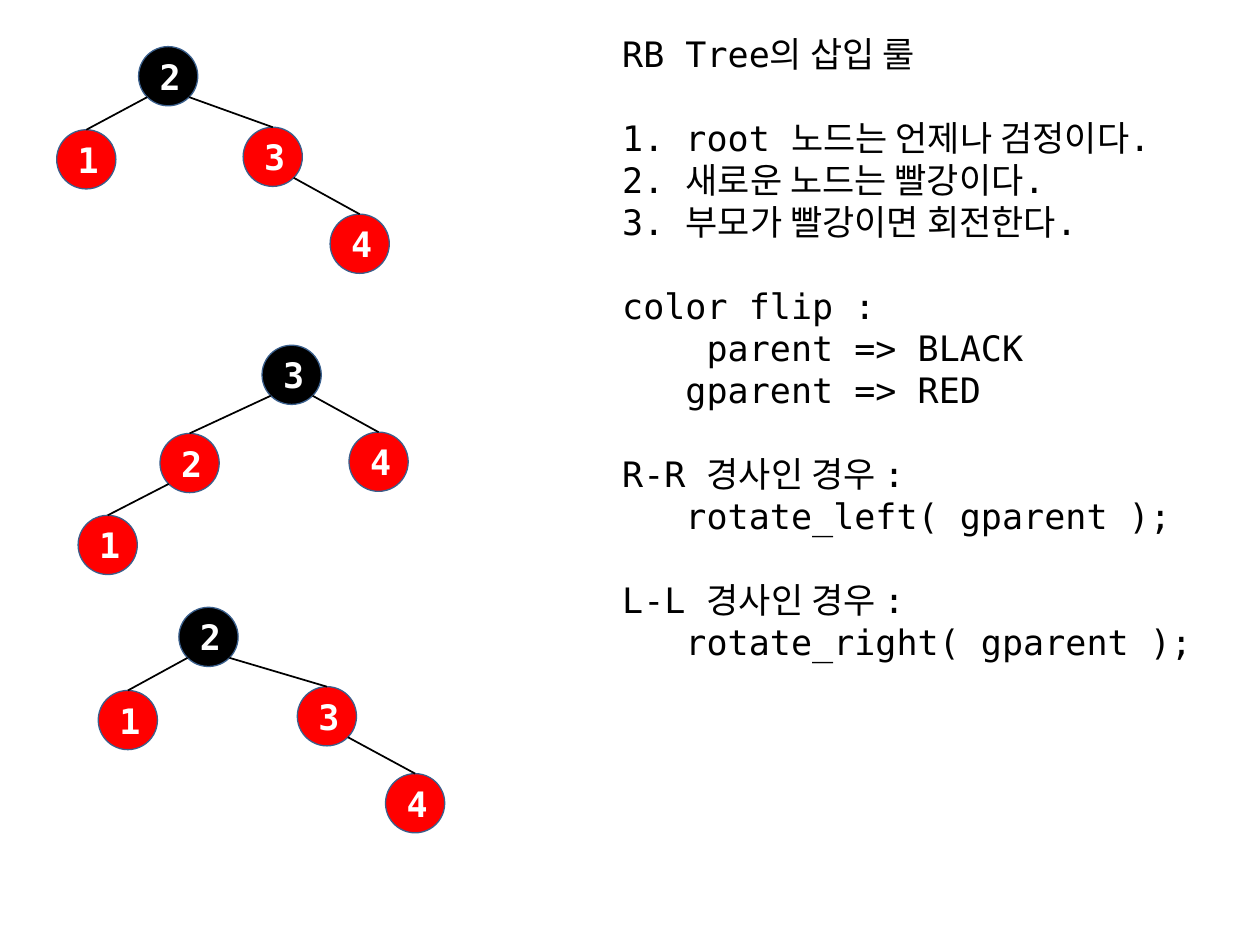
import math

import pptx
import pptx.dml.color
import pptx.enum.shapes
import pptx.enum.text
import pptx.oxml
import pptx.oxml.ns
import pptx.util
from pptx.util import Inches

FONT = "DejaVu Sans Mono"
BLACK, RED, WHITE, OUTLINE = "000000", "FF0000", "FFFFFF", "3A5F8C"
DIAMETER = 0.47

# Each tree: node positions (left, top) by key, and its (parent, child) edges.
# The first node listed is the root.
TREES = [
    ({2: (1.1, 0.37), 1: (0.45, 1.03), 3: (1.93, 1.01), 4: (2.62, 1.7)},
     [(2, 1), (2, 3), (3, 4)]),
    ({3: (2.08, 2.74), 2: (1.27, 3.44), 1: (0.62, 4.09), 4: (2.77, 3.43)},
     [(3, 2), (2, 1), (3, 4)]),
    ({2: (1.42, 4.82), 1: (0.78, 5.48), 3: (2.36, 5.45), 4: (3.06, 6.14)},
     [(2, 1), (2, 3), (3, 4)]),
]

RULE_GROUPS = [
    ["RB Tree의 삽입 룰"],
    ["1. root 노드는 언제나 검정이다.",
     "2. 새로운 노드는 빨강이다.",
     "3. 부모가 빨강이면 회전한다."],
    ["color flip :",
     "    parent => BLACK",
     "   gparent => RED"],
    ["R-R 경사인 경우 :",
     "   rotate_left( gparent );"],
    ["L-L 경사인 경우 :",
     "   rotate_right( gparent );"],
]


def rgb(hex_color):
    return pptx.dml.color.RGBColor.from_string(hex_color)


def set_font(p, color, bold=False):
    p.font.name = FONT
    p.font.size = pptx.util.Pt(20)
    p.font.bold = bold
    p.font.color.rgb = rgb(color)


def add_rules(slide):
    """Add the text groups, set apart by one line of paragraph spacing."""
    box = slide.shapes.add_textbox(
        Inches(4.84), Inches(0.21), Inches(4.86), Inches(5.49))
    tf = box.text_frame
    tf.word_wrap = False
    for g, group in enumerate(RULE_GROUPS):
        for i, line in enumerate(group):
            first = g == 0 and i == 0
            p = tf.paragraphs[0] if first else tf.add_paragraph()
            p.text = line
            set_font(p, BLACK)
            if i == 0 and not first:
                p.space_before = pptx.util.Pt(24)


def add_node(slide, key, position, color):
    left, top = position
    sp = slide.shapes.add_shape(
        pptx.enum.shapes.MSO_SHAPE.OVAL,
        Inches(left), Inches(top), Inches(DIAMETER), Inches(DIAMETER))
    sp.shadow.inherit = False
    sp.fill.solid()
    sp.fill.fore_color.rgb = rgb(color)
    sp.line.color.rgb = rgb(OUTLINE)
    sp.line.width = pptx.util.Pt(0.75)
    tf = sp.text_frame
    tf.vertical_anchor = pptx.enum.text.MSO_ANCHOR.MIDDLE
    p = tf.paragraphs[0]
    p.text = str(key)
    p.alignment = pptx.enum.text.PP_ALIGN.CENTER
    set_font(p, WHITE, bold=True)


def add_edge(slide, parent, child):
    """Join the parent's lower diagonal point to the top of the child."""
    radius = DIAMETER / 2
    diagonal = radius * math.sqrt(0.5)
    side = 1 if child[0] > parent[0] else -1
    line = slide.shapes.add_connector(
        pptx.enum.shapes.MSO_CONNECTOR.STRAIGHT,
        Inches(parent[0] + radius + side * diagonal),
        Inches(parent[1] + radius + diagonal),
        Inches(child[0] + radius), Inches(child[1]))
    line.line.color.rgb = rgb(BLACK)
    line.line.width = pptx.util.Pt(1)
    sp_pr = line._element.spPr
    sp_pr.append(pptx.oxml.parse_xml(
        f"<a:effectLst {pptx.oxml.ns.nsdecls('a')}/>"))


def add_tree(slide, nodes, edges):
    root = next(iter(nodes))
    for key, position in nodes.items():
        add_node(slide, key, position, BLACK if key == root else RED)
    for parent, child in edges:
        add_edge(slide, nodes[parent], nodes[child])


def main():
    prs = pptx.Presentation()
    prs.slide_width, prs.slide_height = Inches(10), Inches(7.5)
    slide = prs.slides.add_slide(prs.slide_layouts[6])
    add_rules(slide)
    for nodes, edges in TREES:
        add_tree(slide, nodes, edges)
    prs.save("out.pptx")


if __name__ == "__main__":
    main()
